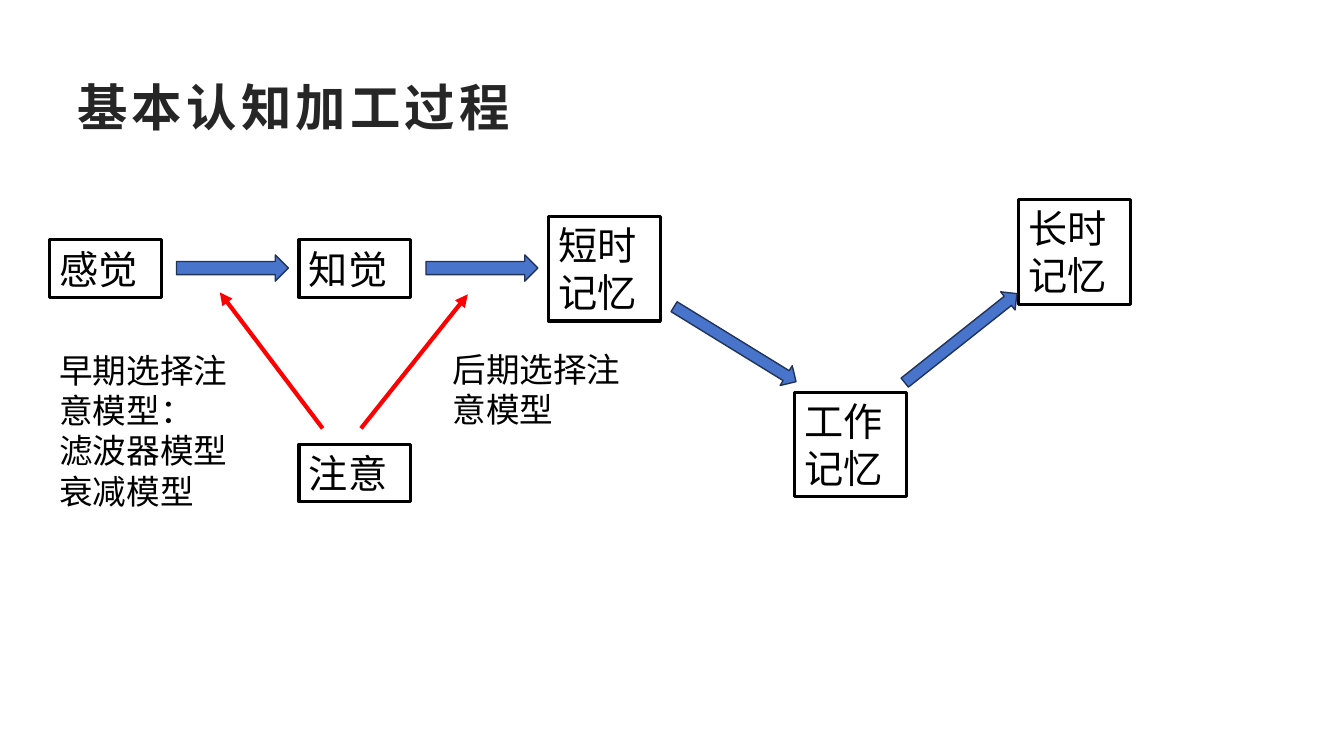
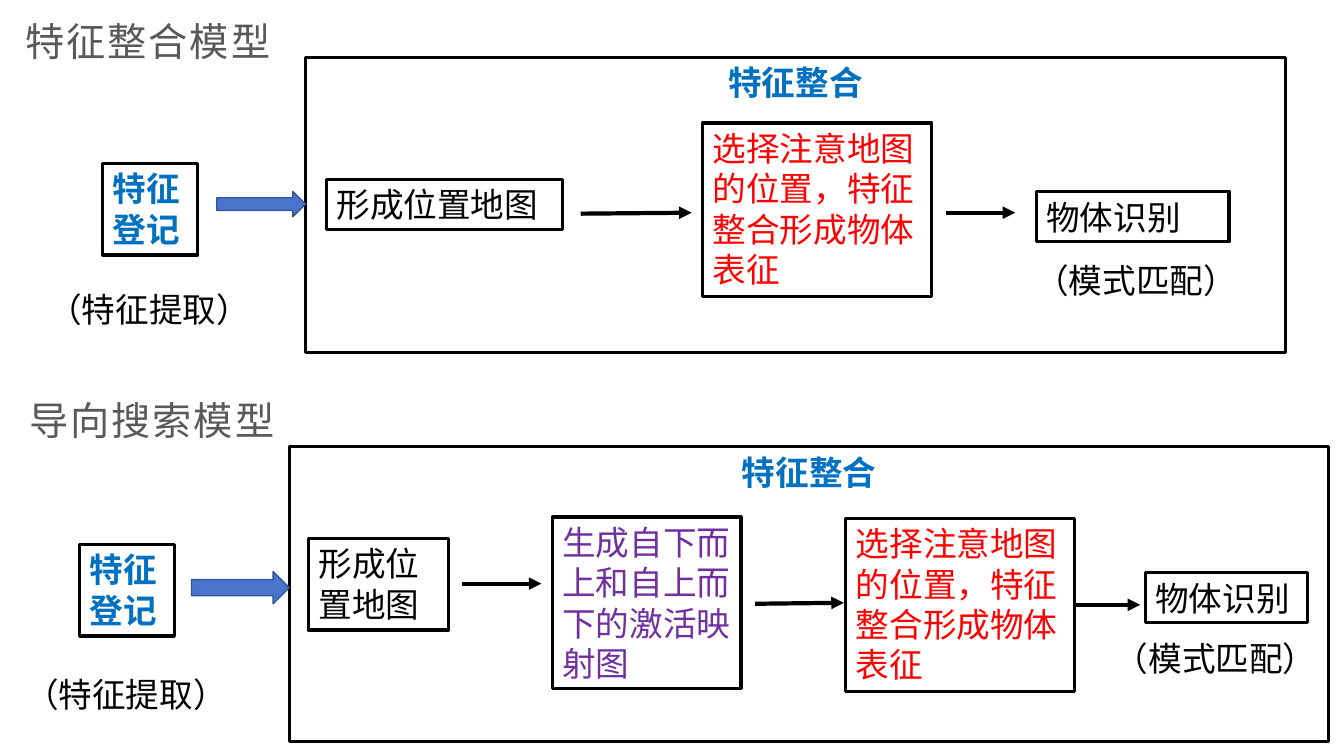
"""Build two slides on cognitive processing and models of attention."""
from pptx import Presentation
from pptx.dml.color import RGBColor
from pptx.enum import shapes, text
from pptx.oxml import ns, xmlchemy
from pptx.util import Inches, Pt

FONT = "Arial"
COLORS = {
    "black": "000000", "title": "262626", "heading": "595959", "blue": "0070C0",
    "red": "FF0000", "purple": "7030A0", "arrow": "4874CB",
    "dark_edge": "203359", "edge": "355696",
}

TITLE = "基本认知加工过程"
STAGE_WIDTH, ONE_LINE, TWO_LINES = 1.11, 0.57, 1.04
ROW_LEFT, ROW_STEP, ROW_MIDDLE = 0.49, 2.475, 2.665
ROW_STAGES = [("感觉", ONE_LINE), ("知觉", ONE_LINE), ("短时记忆", TWO_LINES)]
OTHER_STAGES = [
    ("长时记忆", 10.1, 1.98, TWO_LINES),
    ("工作记忆", 7.88, 3.89, TWO_LINES),
    ("注意", ROW_LEFT + ROW_STEP, 4.41, ONE_LINE),
]
MEMORY_ARROWS = [((6.58, 3.3, 1.42, 0.23), 31.6), ((8.82, 3.24, 1.42, 0.23), 321.6)]
ATTENTION_LINES = [((3.2, 4.25), (2.18, 2.9)), ((3.58, 4.25), (4.64, 2.92))]
NOTES = [
    ("早期选择注意模型：\n滤波器模型\n衰减模型", (0.49, 3.42, 2.12, 1.72)),
    ("后期选择注意模型", (4.39, 3.41, 2.12, 0.91)),
]

REGISTER, EXTRACT = "特征登记", "（特征提取）"
INTEGRATE, LOCATE = "特征整合", "形成位置地图"
SELECT = "选择注意地图的位置，特征整合形成物体表征"
RECOGNISE, MATCH = "物体识别", "（模式匹配）"
ACTIVATE = "生成自下而上和自上而下的激活映射图"
MODELS = [
    {
        "heading": ("特征整合模型", 0.15, -0.02),
        "register": (1.02, 1.62),
        "frame": (3.03, 0.57, 9.72, 2.93),
        "steps": [
            (LOCATE, "black", (3.24, 1.78, 2.34, 0.5)),
            (SELECT, "red", (6.97, 1.22, 2.27, 1.72)),
            (RECOGNISE, "black", (10.28, 1.9, 1.91, 0.5)),
        ],
        "captions": [(EXTRACT, 0.38, 2.82), (MATCH, 10.17, 2.53)],
        "arrow": (2.15, 1.9, 0.88, 0.25),
        "lines": [((5.76, 2.12), (6.86, 2.11)), ((9.38, 2.11), (10.07, 2.11))],
    },
    {
        "heading": ("导向搜索模型", 0.19, 3.74),
        "register": (0.79, 5.4),
        "frame": (2.87, 4.43, 10.31, 2.93),
        "steps": [
            (LOCATE, "black", (3.06, 5.34, 1.39, 0.91)),
            (ACTIVATE, "purple", (5.48, 5.13, 1.87, 1.7)),
            (SELECT, "red", (8.39, 5.14, 2.27, 1.72)),
            (RECOGNISE, "black", (11.36, 5.68, 1.61, 0.5)),
        ],
        "captions": [(EXTRACT, 0.15, 6.64), (MATCH, 10.96, 6.28)],
        "arrow": (1.9, 5.67, 0.97, 0.32),
        "lines": [
            ((4.58, 5.79), (5.37, 5.79)),
            ((7.49, 5.99), (8.37, 5.98)),
            ((10.66, 6), (11.31, 6)),
        ],
    },
]


def rgb(name):
    return RGBColor.from_string(COLORS[name])


def add_text(slide, content, box, size=24, color="black", bold=False, border=False,
             center=False, middle=False, wrap=True, tracking=0, line_spacing=None):
    shape = slide.shapes.add_textbox(*map(Inches, box))
    if border:
        shape.line.color.rgb = rgb("black")
        shape.line.width = Pt(2.25)
    frame = shape.text_frame
    frame.word_wrap = wrap
    frame.vertical_anchor = text.MSO_ANCHOR.MIDDLE if middle else text.MSO_ANCHOR.TOP
    frame.text = content
    for paragraph in frame.paragraphs:
        paragraph.alignment = text.PP_ALIGN.CENTER if center else text.PP_ALIGN.LEFT
        paragraph.line_spacing = line_spacing
        for run in paragraph.runs:
            font = run.font
            font.name, font.size, font.bold = FONT, Pt(size), bold
            font.color.rgb = rgb(color)
            if tracking:
                run._r.get_or_add_rPr().set("spc", str(int(tracking * 100)))


def add_block_arrow(slide, box, edge, rotation=0):
    shape = slide.shapes.add_shape(shapes.MSO_SHAPE.RIGHT_ARROW, *map(Inches, box))
    shape.shadow.inherit = False
    shape.rotation = rotation
    shape.fill.solid()
    shape.fill.fore_color.rgb = rgb("arrow")
    shape.line.color.rgb = rgb(edge)
    shape.line.width = Pt(1)


def add_line_arrow(slide, start, end, color):
    connector = slide.shapes.add_connector(
        shapes.MSO_CONNECTOR.STRAIGHT, *map(Inches, start + end))
    connector.line.color.rgb = rgb(color)
    connector.line.width = Pt(3)
    head = xmlchemy.OxmlElement("a:tailEnd")
    head.set("type", "triangle")
    properties = connector._element.spPr
    properties.find(ns.qn("a:ln")).append(head)
    properties.append(xmlchemy.OxmlElement("a:effectLst"))


def build_process(slide):
    add_text(slide, TITLE, (0.67, 0.67, 12, 0.77), size=36, color="title",
             bold=True, middle=True, tracking=3)
    row = [(label, ROW_LEFT + index * ROW_STEP, ROW_MIDDLE - height / 2, height)
           for index, (label, height) in enumerate(ROW_STAGES)]
    for label, left, top, height in row + OTHER_STAGES:
        add_text(slide, label, (left, top, STAGE_WIDTH, height), size=28, border=True)
    for _, left, _, _ in row[:-1]:
        add_block_arrow(slide, (left + 1.26, 2.53, STAGE_WIDTH, 0.26), "dark_edge")
    for box, rotation in MEMORY_ARROWS:
        add_block_arrow(slide, box, "dark_edge", rotation)
    for start, end in ATTENTION_LINES:
        add_line_arrow(slide, start, end, "red")
    for note, box in NOTES:
        add_text(slide, note, box)


def build_model(slide, model):
    heading, left, top = model["heading"]
    add_text(slide, heading, (left, top, 2.8, 0.8), size=28, color="heading",
             tracking=1.5, line_spacing=1.3)
    add_text(slide, REGISTER, model["register"] + (0.94, 0.91), color="blue",
             bold=True, border=True)
    add_text(slide, INTEGRATE, model["frame"], color="blue", bold=True,
             border=True, center=True)
    for label, color, box in model["steps"]:
        add_text(slide, label, box, color=color, border=True)
    for caption, left, top in model["captions"]:
        add_text(slide, caption, (left, top, 2.22, 0.5), wrap=False)
    add_block_arrow(slide, model["arrow"], "edge")
    for start, end in model["lines"]:
        add_line_arrow(slide, start, end, "black")


def main():
    presentation = Presentation()
    presentation.slide_width, presentation.slide_height = Inches(13.33), Inches(7.5)
    blank = presentation.slide_layouts[6]
    build_process(presentation.slides.add_slide(blank))
    models_slide = presentation.slides.add_slide(blank)
    for model in MODELS:
        build_model(models_slide, model)
    presentation.save("out.pptx")


if __name__ == "__main__":
    main()
